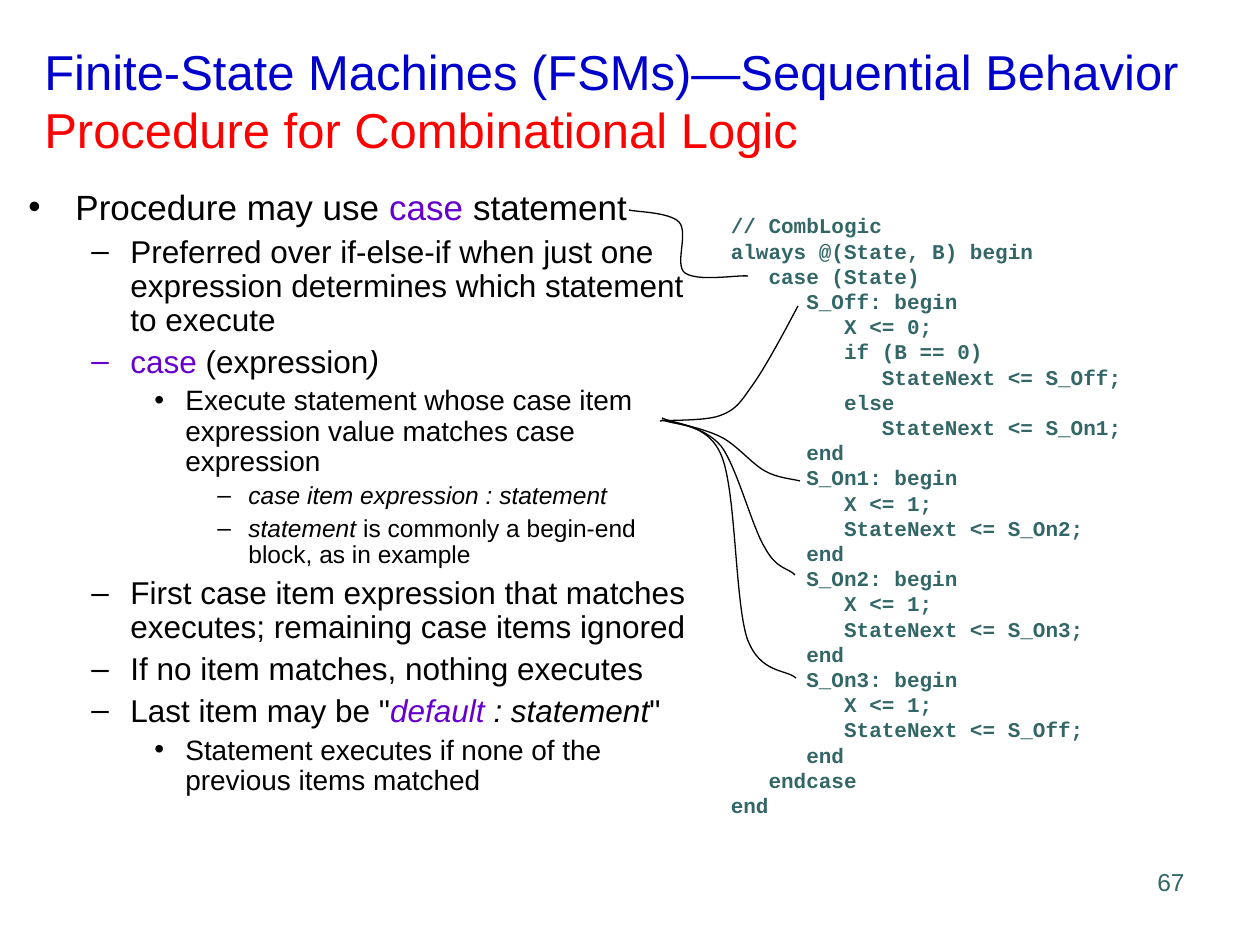
from lxml import etree
from pptx import Presentation
from pptx.dml.color import RGBColor
from pptx.enum.text import MSO_ANCHOR as Anchor, PP_ALIGN as Align
from pptx.oxml.ns import qn
from pptx.util import Pt

SCALE = 914400 / 126
COLORS = {"black": "000000", "blue": "0000CC", "red": "FF0000",
          "purple": "6600CC", "teal": "336666"}

# level: (text indent px, hanging px, bullet, font size, space before)
LEVELS = [
    (47, 47, "•", 20, 5),
    (102, 39, "–", 18, 4.5),
    (157, 31, "•", 16, 4),
    (220, 31, "–", 14, 3.5),
]

OUTLINE = [
    (0, [("Procedure may use ",), ("case ", "purple"), ("statement",)]),
    (1, [("Preferred over if-else-if when just one expression determines "
          "which statement to execute",)]),
    (1, [("case ", "purple"), ("(expression",), (")", "black", True)]),
    (2, [("Execute statement whose case item expression value matches "
          "case expression",)]),
    (3, [("case item expression : statement", "black", True)]),
    (3, [("statement", "black", True),
         (" is commonly a begin-end block, as in example",)]),
    (1, [("First case item expression that matches executes; "
          "remaining case items ignored",)]),
    (1, [("If no item matches, nothing executes",)]),
    (1, [('Last item may be "',), ("default ", "purple", True),
         (": statement", "black", True), ('"',)]),
    (2, [("Statement executes if none of the previous items matched",)]),
]

COMB_LOGIC = """\
   // CombLogic
   always @(State, B) begin
      case (State)
         S_Off: begin
            X <= 0;
            if (B == 0)
               StateNext <= S_Off;
            else
               StateNext <= S_On1;
         end
         S_On1: begin
            X <= 1;
            StateNext <= S_On2;
         end
         S_On2: begin
            X <= 1;
            StateNext <= S_On3;
         end
         S_On3: begin
            X <= 1;
            StateNext <= S_Off;
         end
      endcase
   end"""

CALLOUTS = [
    [(629, 210), (636, 212), (669, 212), (679, 222), (689, 233), (674, 265),
     (685, 273), (698, 282), (736, 275), (748, 276)],
    [(662, 420), (672, 422), (703, 428), (721, 437), (737, 445), (752, 464),
     (765, 471), (777, 478), (793, 479), (800, 481)],
    [(662, 418), (672, 423), (703, 425), (721, 446), (737, 467), (752, 527),
     (765, 548), (777, 570), (789, 568), (795, 575)],
    [(664, 420), (674, 426), (708, 421), (722, 457), (736, 493), (735, 600),
     (747, 638), (760, 674), (786, 669), (796, 678)],
    [(660, 421), (670, 420), (704, 421), (719, 416), (736, 410), (740, 403),
     (752, 386), (766, 367), (789, 323), (798, 306)],
]


def px(length):
    return round(length * SCALE)


def rgb(name):
    return RGBColor.from_string(COLORS[name])


def add_frame(slide, left, top, width, height, inset=None):
    frame = slide.shapes.add_textbox(*map(px, (left, top, width, height))).text_frame
    frame.word_wrap = True
    if inset is not None:
        frame.margin_left = frame.margin_right = px(inset)
        frame.margin_top = frame.margin_bottom = px(inset)
    return frame


def add_run(paragraph, text, size, color="black", italic=False, bold=False,
            face="Arial"):
    run = paragraph.add_run()
    run.text = text
    font = run.font
    font.name, font.size = face, Pt(size)
    font.bold, font.italic = bold, italic
    font.color.rgb = rgb(color)


def next_paragraph(frame, index):
    return frame.add_paragraph() if index else frame.paragraphs[0]


def set_bullet(paragraph, level, color):
    indent, hanging, mark, _, _ = LEVELS[level]
    props = paragraph._p.get_or_add_pPr()
    props.set("marL", str(px(indent)))
    props.set("indent", str(-px(hanging)))
    tint = etree.SubElement(props, qn("a:buClr"))
    etree.SubElement(tint, qn("a:srgbClr"), val=COLORS[color])
    etree.SubElement(props, qn("a:buFont"), typeface="Arial")
    etree.SubElement(props, qn("a:buChar"), char=mark)


def add_title(slide):
    frame = add_frame(slide, 32, 42, 1187, 116)
    frame.vertical_anchor = Anchor.MIDDLE
    heading = frame.paragraphs[0]
    add_run(heading, "Finite-State Machines (FSMs)—Sequential Behavior", 28, "blue")
    heading.add_line_break()
    add_run(heading, "Procedure for Combinational Logic", 28, "red")


def add_outline(slide):
    frame = add_frame(slide, 16, 184, 687, 645)
    for index, (level, parts) in enumerate(OUTLINE):
        point = next_paragraph(frame, index)
        point.level = level
        size, space = LEVELS[level][3:]
        point.line_spacing = 0.9
        if index:
            point.space_before = Pt(space)
        purple_lead = parts[0][1:2] == ("purple",)
        set_bullet(point, level, "purple" if purple_lead else "black")
        for text, *style in parts:
            add_run(point, text, size, *style)


def add_code(slide):
    frame = add_frame(slide, 693, 213, 533, 605, inset=0)
    for index, line in enumerate(COMB_LOGIC.splitlines()):
        add_run(next_paragraph(frame, index), line, 12, "teal", bold=True,
                face="Courier New")


def add_curve(slide, points):
    builder = slide.shapes.build_freeform(*points[0], scale=SCALE)
    builder.add_line_segments(points[1:], close=False)
    curve = builder.convert_to_shape()
    curve.shadow.inherit = False
    curve.fill.background()
    curve.line.color.rgb = rgb("black")
    curve.line.width = Pt(0.75)
    outline = curve._element.find(".//" + qn("a:path"))
    segments = outline.findall(qn("a:lnTo"))
    for start in range(0, len(segments), 3):
        bezier = etree.SubElement(outline, qn("a:cubicBezTo"))
        for segment in segments[start:start + 3]:
            bezier.append(segment[0])
            outline.remove(segment)


def add_page_number(slide):
    number = add_frame(slide, 935, 861, 262, 63).paragraphs[0]
    number.alignment = Align.RIGHT
    add_run(number, "67", 14, "teal")


def main():
    deck = Presentation()
    deck.slide_width, deck.slide_height = px(1260), px(945)
    slide = deck.slides.add_slide(deck.slide_layouts[6])
    add_title(slide)
    add_outline(slide)
    add_code(slide)
    for points in CALLOUTS:
        add_curve(slide, points)
    add_page_number(slide)
    deck.save("out.pptx")


if __name__ == "__main__":
    main()
